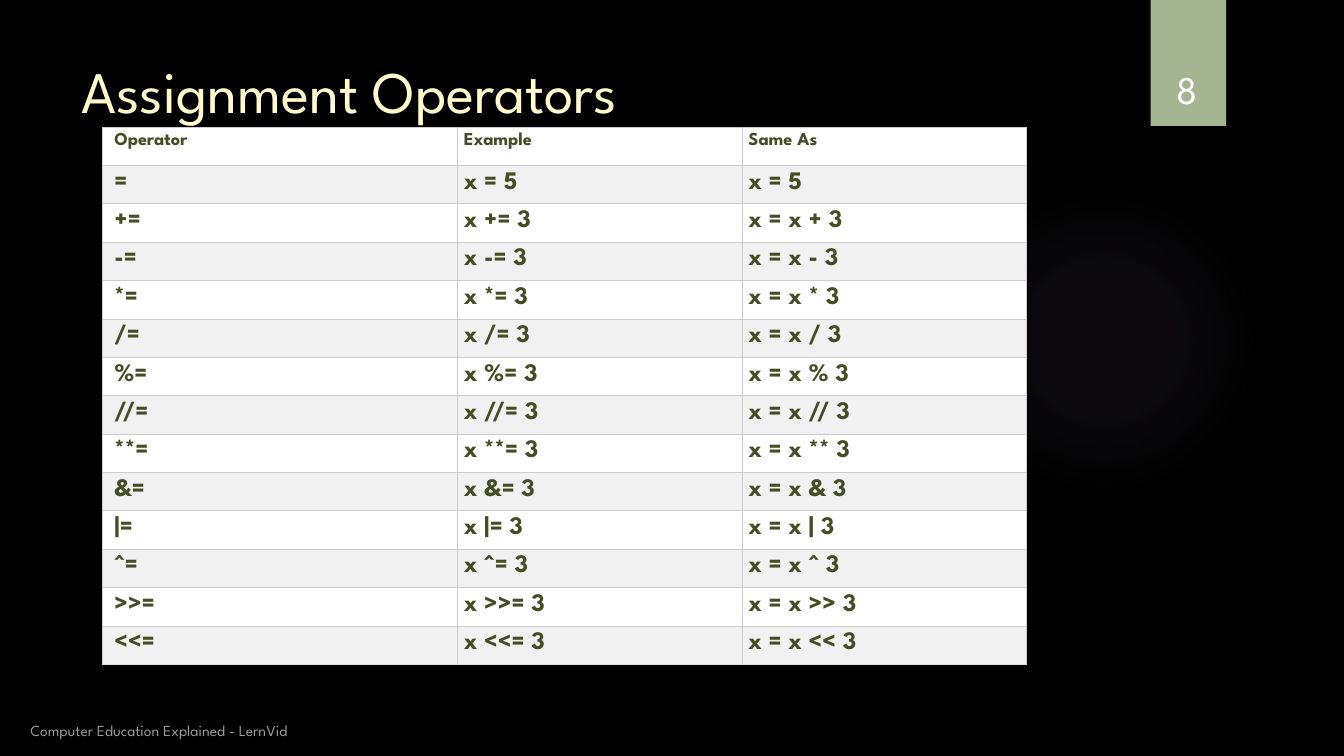
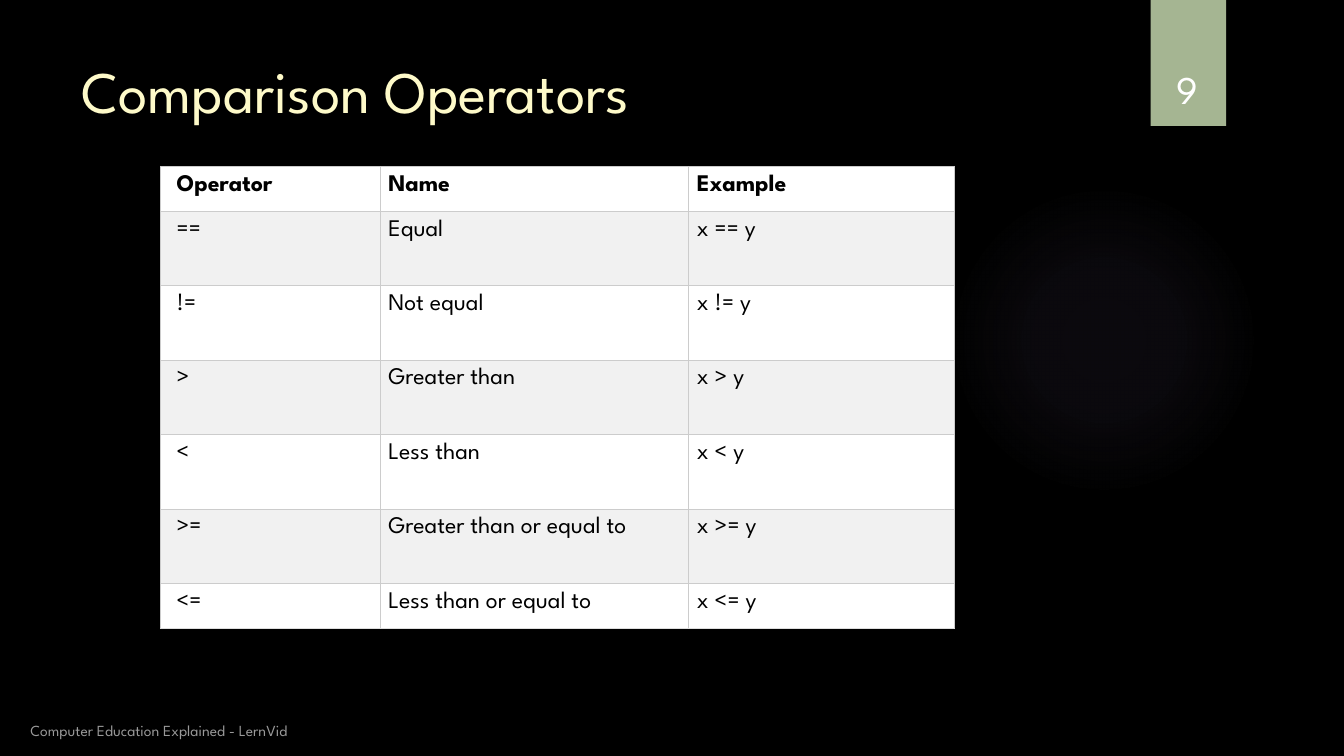
from lxml import etree
from pptx import Presentation
from pptx.dml.color import RGBColor
from pptx.enum import shapes, text
from pptx.oxml import parse_xml
from pptx.oxml.ns import qn
from pptx.util import Pt

# Content
FOOT = "Computer Education Explained - LernVid"
OPS = ["+", "-", "*", "/", "%", "//", "**", "&", "|", "^", ">>", "<<"]
ASSIGN = [("Operator", "Example", "Same As"), ("=", "x = 5", "x = 5")]
ASSIGN += [(f"{op}=", f"x {op}= 3", f"x = x {op} 3") for op in OPS]
NAMES = [
    ("==", "Equal"),
    ("!=", "Not equal"),
    (">", "Greater than"),
    ("<", "Less than"),
    (">=", "Greater than or equal to"),
    ("<=", "Less than or equal to"),
]
COMPARE = [("Operator", "Name", "Example")]
COMPARE += [(op, name, f"x {op} y") for op, name in NAMES]

SLIDES = [
    dict(title="Assignment Operators", num=8, rows=ASSIGN, at=(73.1, 90.8),
         cols=(254, 203.2, 203.2), high=[27.43] * len(ASSIGN), pad=4.3, low=1,
         head=13, body=18, bold=True, ink="444D26"),
    dict(title="Comparison Operators", num=9, rows=COMPARE, at=(114.6, 118.8),
         cols=(157, 220.5, 189.6), high=[32.2] + [53.15] * 5 + [32.2], pad=5.8,
         low=5.8, head=17, body=17, bold=False, ink="000000"),
]

# Shared style
FONT = "League Spartan"
BLACK, WHITE, CREAM, SAGE, GLOW = "000000", "FFFFFF", "FEFAC9", "A5B592", "9C85C0"
BANDS = (WHITE, "F1F1F1")
EDGE, BASE = "CCCCCC", "DDDDDD"
NS = 'xmlns:a="http://schemas.openxmlformats.org/drawingml/2006/main"'


def rgb(code):
    return RGBColor.from_string(code)


def write(frame, words, size, color, bold=False, align=None):
    para = frame.paragraphs[0]
    para.alignment = align
    run = para.add_run()
    run.text = words
    font = run.font
    font.name, font.size, font.bold = FONT, Pt(size), bold
    font.color.rgb = rgb(color)
    return run


def label(slide, box, words, size, color, anchor, align=None):
    frame = slide.shapes.add_textbox(*map(Pt, box)).text_frame
    frame.word_wrap = True
    frame.vertical_anchor = anchor
    return write(frame, words, size, color, align=align)


def shape(slide, kind, box, color):
    item = slide.shapes.add_shape(kind, *map(Pt, box))
    item.shadow.inherit = False
    item.fill.solid()
    item.fill.fore_color.rgb = rgb(color)
    item.line.fill.background()
    return item


def glow(slide):
    ball = shape(slide, shapes.MSO_SHAPE.OVAL, (677.5, 131.8, 221.8, 221.8), GLOW)
    stops = "".join(
        f'<a:gs pos="{pos * 1000}"><a:srgbClr val="{GLOW}">'
        f'<a:alpha val="{alpha * 1000}"/></a:srgbClr></a:gs>'
        for pos, alpha in ((0, 7), (36, 6), (69, 0), (100, 0)))
    grad = parse_xml(
        f'<a:gradFill {NS}><a:gsLst>{stops}</a:gsLst><a:path path="circle">'
        '<a:fillToRect l="50000" t="50000" r="50000" b="50000"/>'
        '</a:path></a:gradFill>')
    solid = ball.element.spPr.find(qn("a:solidFill"))
    solid.getparent().replace(solid, grad)


def border(cell, last):
    props = cell._tc.get_or_add_tcPr()
    for side in "LRTB":
        color = BASE if last and side == "B" else EDGE
        props.append(parse_xml(
            f'<a:ln{side} {NS} w="9525"><a:solidFill><a:srgbClr val="{color}"/>'
            f'</a:solidFill></a:ln{side}>'))


def grid(slide, data):
    rows, cols, high, pad = (data[key] for key in ("rows", "cols", "high", "pad"))
    box = (*data["at"], sum(cols), sum(high))
    table = slide.shapes.add_table(len(rows), len(cols), *map(Pt, box)).table
    table.first_row = table.horz_banding = False
    for col, wide in zip(table.columns, cols):
        col.width = Pt(wide)
    for r, row in enumerate(rows):
        table.rows[r].height = Pt(high[r])
        for c, words in enumerate(row):
            cell = table.cell(r, c)
            cell.margin_left = Pt(pad * 2 if c == 0 else pad)
            cell.margin_right = cell.margin_top = Pt(pad)
            cell.margin_bottom = Pt(data["low"])
            border(cell, r == len(rows) - 1)
            cell.fill.solid()
            cell.fill.fore_color.rgb = rgb(BANDS[r % 2])
            write(cell.text_frame, words, data["body"] if r else data["head"],
                  data["ink"], data["bold"] or r == 0)


def build(deck, data):
    slide = deck.slides.add_slide(deck.slide_layouts[6])
    # Backdrop and number tab
    back = slide.background.fill
    back.solid()
    back.fore_color.rgb = rgb(BLACK)
    glow(slide)
    shape(slide, shapes.MSO_SHAPE.RECTANGLE, (821.9, 0, 54, 90), SAGE)
    # Title and table
    top, base = text.MSO_ANCHOR.TOP, text.MSO_ANCHOR.BOTTOM
    label(slide, (51, 35.3, 741, 110), data["title"], 42, CREAM, top)
    grid(slide, data)
    # Footer and slide number
    foot = label(slide, (14.7, 508.1, 304, 23.8), FOOT, 11, WHITE, base)
    tint = foot._r.find(".//" + qn("a:srgbClr"))
    etree.SubElement(tint, qn("a:alpha")).set("val", "60000")
    label(slide, (815, 23, 66.2, 60.5), str(data["num"]), 28, WHITE, base,
          text.PP_ALIGN.CENTER)


def main():
    deck = Presentation()
    deck.slide_width, deck.slide_height = Pt(960), Pt(540)
    for data in SLIDES:
        build(deck, data)
    deck.save("out.pptx")


if __name__ == "__main__":
    main()
